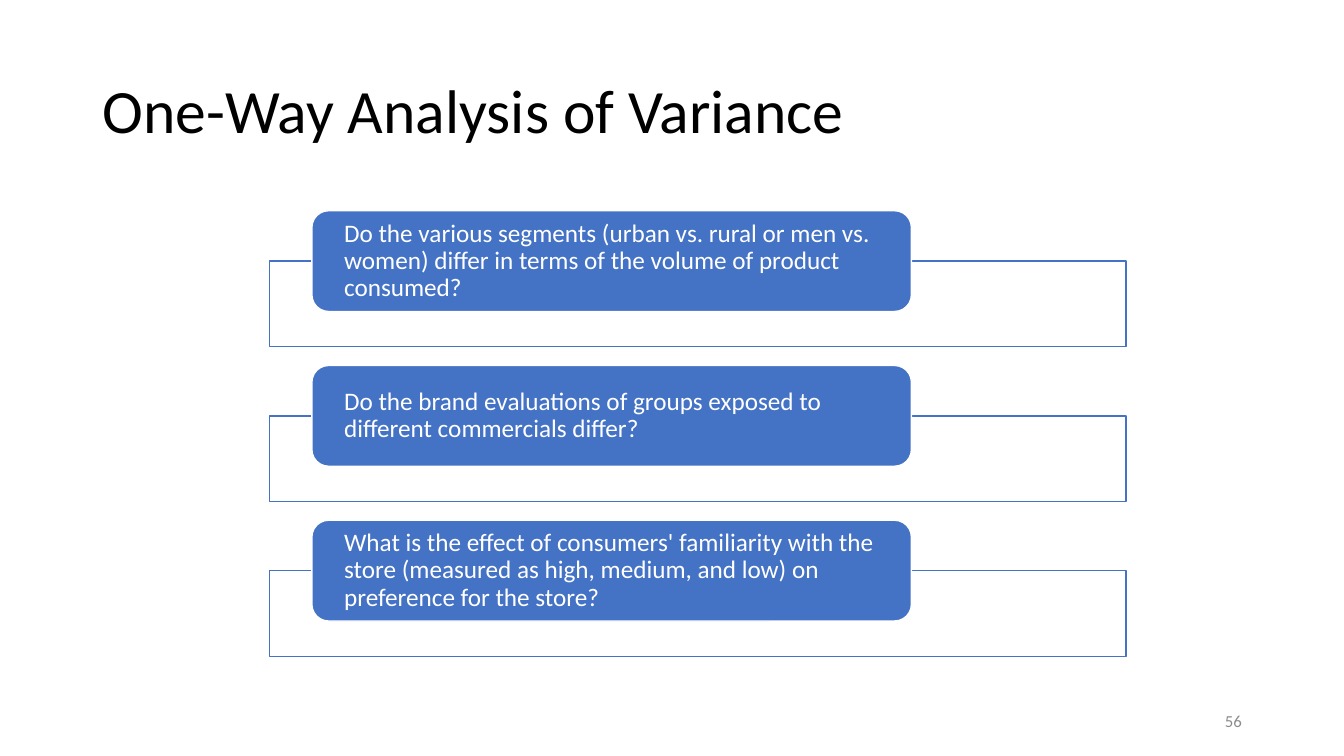
from pptx import Presentation
from pptx.dml.color import RGBColor
from pptx.enum.shapes import MSO_SHAPE
from pptx.enum.text import MSO_ANCHOR, MSO_AUTO_SIZE, PP_ALIGN
from pptx.util import Cm, Pt

QUESTIONS = [
    "Do the various segments (urban vs. rural or men vs. women) differ "
    "in terms of the volume of product consumed?",
    "Do the brand evaluations of groups exposed to different commercials differ?",
    "What is the effect of consumers' familiarity with the store "
    "(measured as high, medium, and low) on preference for the store?",
]
FIRST_TOP = 5.31
PITCH = 3.9
FRAME_DROP = 1.27


def color(hex_code):
    return RGBColor.from_string(hex_code)


class QuestionSlide:
    FONT = "Calibri"
    BLUE = "4472C4"
    WHITE = "FFFFFF"
    BLACK = "000000"
    GRAY = "8C8C8C"

    def __init__(self, presentation):
        self.slide = presentation.slides.add_slide(presentation.slide_layouts[5])

    def set_text(self, frame, text, size, hex_code, align=PP_ALIGN.LEFT, line_spacing=0.9):
        frame.word_wrap = True
        frame.auto_size = MSO_AUTO_SIZE.NONE
        frame.vertical_anchor = MSO_ANCHOR.MIDDLE
        frame.text = text
        paragraph = frame.paragraphs[0]
        paragraph.alignment = align
        paragraph.line_spacing = line_spacing
        paragraph.font.name = self.FONT
        paragraph.font.size = Pt(size)
        paragraph.font.color.rgb = color(hex_code)

    def title(self, text):
        heading = self.slide.shapes.title
        heading.left, heading.top = Cm(2.33), Cm(1.01)
        heading.width, heading.height = Cm(29.21), Cm(3.68)
        self.set_text(heading.text_frame, text, 44, self.BLACK)

    def box(self, preset, left, top, width, height, fill, line):
        box = self.slide.shapes.add_shape(
            preset, Cm(left), Cm(top), Cm(width), Cm(height))
        box.shadow.inherit = False
        box.fill.solid()
        box.fill.fore_color.rgb = color(fill)
        box.line.color.rgb = color(line)
        box.line.width = Pt(1)
        return box

    def question(self, text, top):
        self.box(MSO_SHAPE.RECTANGLE, 6.79, top + FRAME_DROP, 21.59, 2.16,
                 self.WHITE, self.BLUE)
        label = self.box(MSO_SHAPE.ROUNDED_RECTANGLE, 7.86, top, 15.11, 2.54,
                         self.BLUE, self.WHITE)
        frame = label.text_frame
        frame.margin_left = frame.margin_right = Cm(0.69)
        frame.margin_top = frame.margin_bottom = 0
        self.set_text(frame, text, 18, self.WHITE)

    def page_number(self, number):
        corner = self.slide.shapes.add_textbox(Cm(23.93), Cm(17.65), Cm(7.62), Cm(1.01))
        self.set_text(corner.text_frame, number, 12, self.GRAY, PP_ALIGN.RIGHT, 1.0)


def main():
    presentation = Presentation()
    presentation.slide_width, presentation.slide_height = Cm(33.87), Cm(19.05)
    variance = QuestionSlide(presentation)
    variance.title("One-Way Analysis of Variance")
    for index, question in enumerate(QUESTIONS):
        variance.question(question, FIRST_TOP + index * PITCH)
    variance.page_number("56")
    presentation.save("out.pptx")


if __name__ == "__main__":
    main()
